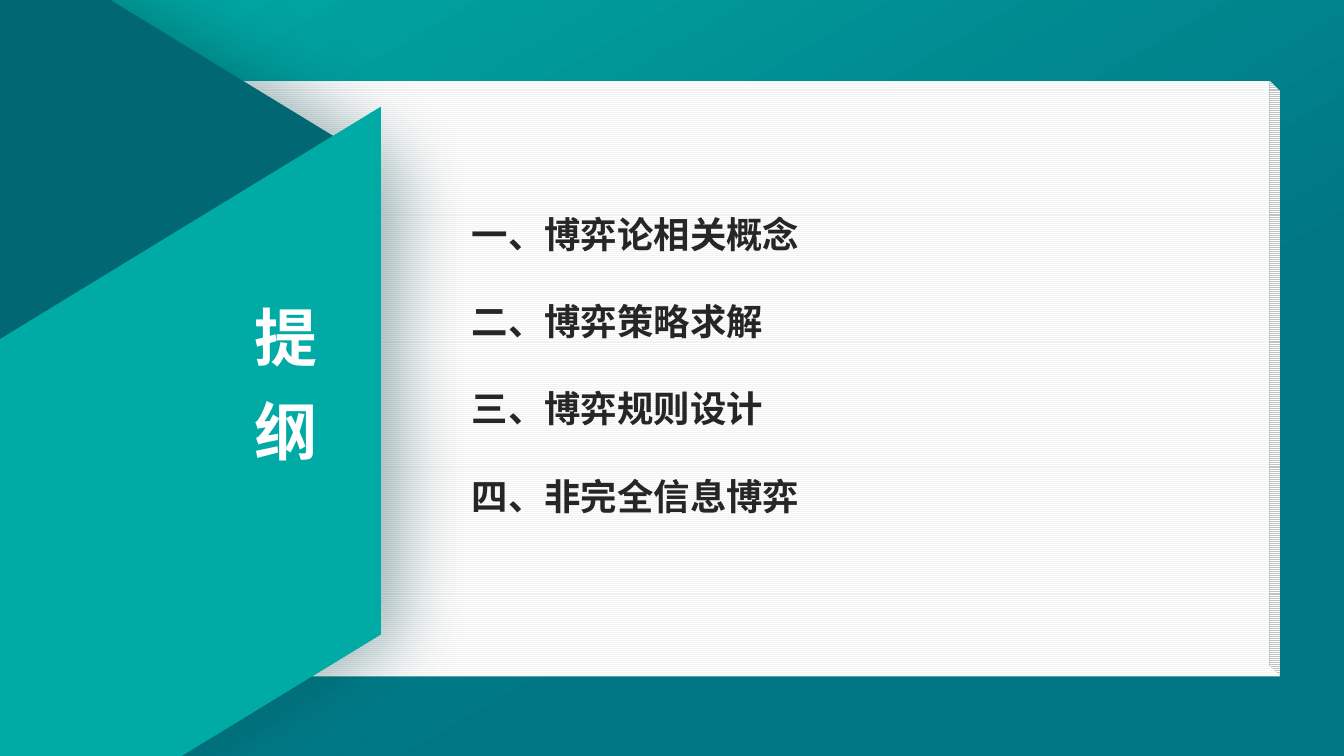
from lxml.etree import SubElement
from pptx import Presentation
from pptx.dml.color import RGBColor
from pptx.enum.dml import MSO_PATTERN
from pptx.enum.shapes import MSO_SHAPE
from pptx.enum.text import MSO_ANCHOR, MSO_AUTO_SIZE, PP_ALIGN
from pptx.oxml.ns import qn
from pptx.util import Pt

TEAL = RGBColor(0x00, 0xAB, 0xA5)
DEEP_TEAL = RGBColor(0x00, 0x76, 0x84)
DARK_TEAL = RGBColor(0x01, 0x67, 0x73)
SHADOW_TEAL = RGBColor(0x01, 0x3F, 0x45)
BLACK = RGBColor(0x00, 0x00, 0x00)
INK = RGBColor(0x26, 0x26, 0x26)
PAPER_LINE = RGBColor(0xF2, 0xF2, 0xF2)
WHITE = RGBColor(0xFF, 0xFF, 0xFF)
FONT = "Noto Sans CJK SC"


def add_shadow(effects, color, opacity, blur, distance, angle):
    """Append an outer shadow to an effect list; opacity in percent, angle in degrees."""
    shadow = SubElement(effects, qn("a:outerShdw"), blurRad=str(Pt(blur)),
                        dist=str(Pt(distance)), dir=str(angle * 60000),
                        algn="ctr", rotWithShape="0")
    tint = SubElement(shadow, qn("a:srgbClr"), val=str(color))
    SubElement(tint, qn("a:alpha"), val=str(opacity * 1000))


def set_font(paragraph, size, color):
    """Set the bold face for Latin and East Asian text alike."""
    font = paragraph.font
    font.size, font.bold, font.name = Pt(size), True, FONT
    font.color.rgb = color
    properties = paragraph._p.pPr.find(qn("a:defRPr"))
    SubElement(properties, qn("a:ea"), typeface=FONT)
    return properties


prs = Presentation()
prs.slide_width, prs.slide_height = Pt(960), Pt(540)
slide = prs.slides.add_slide(prs.slide_layouts[5])
shapes = slide.shapes

# Background and decorative shapes
backdrop = slide.background.fill
backdrop.gradient()
backdrop.gradient_angle = 300

paper = shapes.add_shape(MSO_SHAPE.CUBE, Pt(0), Pt(57.6), Pt(914.4), Pt(425.5))
paper.adjustments[0] = 0.018
paper._element.spPr.xfrm.set("flipV", "1")
paper.fill.patterned()
paper.fill.pattern = MSO_PATTERN.LIGHT_HORIZONTAL
paper.fill.fore_color.rgb = PAPER_LINE
paper.fill.back_color.rgb = WHITE

hexagon = shapes.add_shape(MSO_SHAPE.HEXAGON, Pt(-447.1), Pt(-56.9), Pt(753.1), Pt(684.7))
hexagon.adjustments[0] = 0.305
hexagon.rotation = 90
hexagon.fill.gradient()
hexagon.fill.gradient_angle = 270

band = shapes.add_shape(MSO_SHAPE.PARALLELOGRAM, Pt(-197.3), Pt(208.1), Pt(596.9), Pt(321.8))
band.adjustments[0] = 0.61
band.rotation = 328.6
band.fill.solid()
band.fill.fore_color.rgb = TEAL

for fill, stops in (
    (backdrop, ((0, TEAL), (0.67, DEEP_TEAL))),
    (hexagon.fill, ((0.77, DARK_TEAL), (1, DEEP_TEAL))),
):
    for stop, (position, color) in zip(fill.gradient_stops, stops):
        stop.position = position
        stop.color.rgb = color

for shape in (paper, hexagon, band):
    shape.line.fill.background()
    shape.shadow.inherit = False
add_shadow(hexagon._element.spPr.find(qn("a:effectLst")), SHADOW_TEAL, 40, 55, 13, 0)

# Title, one character per line, in front of the band
title = shapes.title
shapes._spTree.append(title._element)
title.left, title.top, title.width, title.height = Pt(174), Pt(200), Pt(60), Pt(134)
title.text = "提纲"
frame = title.text_frame
frame.margin_left = frame.margin_right = frame.margin_top = frame.margin_bottom = 0
frame.word_wrap = True
frame.auto_size = MSO_AUTO_SIZE.NONE
frame.vertical_anchor = MSO_ANCHOR.TOP
heading = frame.paragraphs[0]
heading.alignment = PP_ALIGN.CENTER
heading.line_spacing = Pt(67)
heading_font = set_font(heading, 45, WHITE)
heading_effects = SubElement(heading_font, qn("a:effectLst"))
heading_font.find(qn("a:solidFill")).addnext(heading_effects)
add_shadow(heading_effects, BLACK, 43, 3, 3, 45)

# Outline
outline = shapes.add_textbox(Pt(329.8), Pt(116.6), Pt(514.8), Pt(249.8)).text_frame
outline.word_wrap = True
outline.auto_size = MSO_AUTO_SIZE.SHAPE_TO_FIT_TEXT
outline.text = "\n".join((
    "一、博弈论相关概念",
    "二、博弈策略求解",
    "三、博弈规则设计",
    "四、非完全信息博弈",
))
for topic in outline.paragraphs:
    topic.line_spacing = 2.0
    set_font(topic, 26, INK)

prs.save("out.pptx")
